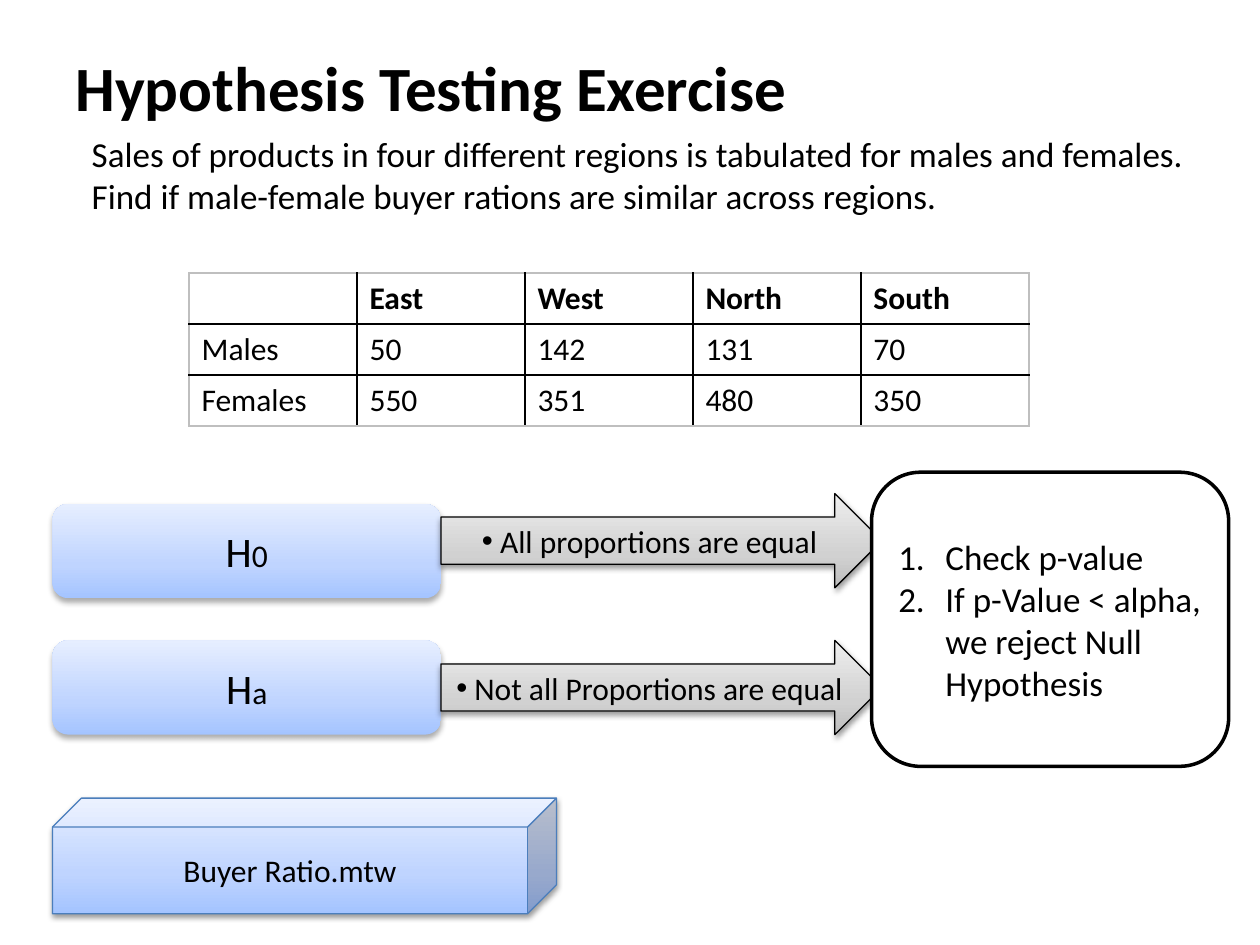
from dataclasses import dataclass

from lxml.etree import SubElement
from pptx import Presentation
from pptx.dml.color import RGBColor
from pptx.enum.shapes import MSO_SHAPE
from pptx.enum.text import MSO_ANCHOR, PP_ALIGN
from pptx.oxml.ns import qn
from pptx.util import Cm, Pt

FONT = "Calibri"
BLACK = RGBColor(0x00, 0x00, 0x00)
WHITE = RGBColor(0xFF, 0xFF, 0xFF)
GREY = RGBColor(0xBF, 0xBF, 0xBF)
CUBE_EDGE = RGBColor(0x4B, 0x7E, 0xBC)
# Gradient colours at 0, 35 and 100 percent, from the bottom up
BLUES = (RGBColor(0xA4, 0xC4, 0xFF), RGBColor(0xBF, 0xD4, 0xFF), RGBColor(0xE6, 0xEE, 0xFF))
GREYS = (RGBColor(0xBD, 0xBD, 0xBD), RGBColor(0xD1, 0xD1, 0xD1), RGBColor(0xEE, 0xEE, 0xEE))
STOPS = (0, 35, 100)


@dataclass(frozen=True)
class Box:
    """Position and size in centimetres."""
    left: float
    top: float
    width: float
    height: float

    def lengths(self) -> tuple:
        return Cm(self.left), Cm(self.top), Cm(self.width), Cm(self.height)


@dataclass(frozen=True)
class Shadow:
    opacity: int
    blur: float
    distance: float


SOFT = Shadow(32, 3.5, 2.2)
CRISP = Shadow(38, 3.1, 1.6)


@dataclass(frozen=True)
class Hypothesis:
    subscript: str
    claim: str
    label_top: float
    arrow_top: float


HYPOTHESES = (
    Hypothesis("0", " All proportions are equal", 10.16, 9.95),
    Hypothesis("a", " Not all Proportions are equal", 12.91, 12.91),
)
SALES = (
    ("", "East", "West", "North", "South"),
    ("Males", "50", "142", "131", "70"),
    ("Females", "550", "351", "480", "350"),
)


def add_run(paragraph, text: str, size: float, bold: bool = False) -> None:
    run = paragraph.add_run()
    run.text = text
    run.font.name = FONT
    run.font.size = Pt(size)
    run.font.bold = bold
    run.font.color.rgb = BLACK


def add_bullet(paragraph, tag: str, indent: float = 0, **attributes: str) -> None:
    properties = paragraph._p.get_or_add_pPr()
    properties.set("marL", str(Cm(indent)))
    properties.set("indent", str(-Cm(indent)))
    SubElement(properties, qn("a:buFont"), typeface="Arial" if tag == "a:buChar" else "+mj-lt")
    SubElement(properties, qn(tag), **attributes)


def add_text_box(slide, box: Box, anchor: MSO_ANCHOR):
    frame = slide.shapes.add_textbox(*box.lengths()).text_frame
    frame.word_wrap = True
    frame.vertical_anchor = anchor
    return frame.paragraphs[0]


def fill_gradient(shape, colors: tuple) -> None:
    shape.fill.gradient()
    shape.fill.gradient_angle = 90
    stops = shape._element.spPr.find(qn("a:gradFill")).find(qn("a:gsLst"))
    for stop in list(stops):
        stops.remove(stop)
    for position, color in zip(STOPS, colors):
        stop = SubElement(stops, qn("a:gs"), pos=str(position * 1000))
        SubElement(stop, qn("a:srgbClr"), val=str(color))


def cast_shadow(shape, shadow: Shadow) -> None:
    effects = shape._element.spPr.find(qn("a:effectLst"))
    outer = SubElement(effects, qn("a:outerShdw"), blurRad=str(Pt(shadow.blur)),
                       dist=str(Pt(shadow.distance)), dir="5400000", rotWithShape="0")
    color = SubElement(outer, qn("a:srgbClr"), val=str(BLACK))
    SubElement(color, qn("a:alpha"), val=str(shadow.opacity * 1000))


def add_block(slide, kind: MSO_SHAPE, box: Box, colors: tuple = (), edge: RGBColor | None = None,
              edge_width: float = 0.75, shadow: Shadow | None = None):
    shape = slide.shapes.add_shape(kind, *box.lengths())
    if colors:
        fill_gradient(shape, colors)
    else:
        shape.fill.solid()
        shape.fill.fore_color.rgb = WHITE
    if edge is None:
        shape.line.fill.background()
    else:
        shape.line.color.rgb = edge
        shape.line.width = Pt(edge_width)
    shape.shadow.inherit = False
    if shadow:
        cast_shadow(shape, shadow)
    frame = shape.text_frame
    frame.word_wrap = True
    frame.vertical_anchor = MSO_ANCHOR.MIDDLE
    frame.paragraphs[0].alignment = PP_ALIGN.CENTER
    return frame


def border_cell(cell, outer_sides: dict[str, bool]) -> None:
    properties = cell._tc.get_or_add_tcPr()
    for index, (side, is_outer) in enumerate(outer_sides.items()):
        line = properties.makeelement(qn(f"a:{side}"), {"w": str(Pt(1))})
        properties.insert(index, line)
        fill = SubElement(line, qn("a:solidFill"))
        SubElement(fill, qn("a:srgbClr"), val=str(GREY if is_outer else BLACK))


def add_sales_table(slide, box: Box) -> None:
    rows, columns = len(SALES), len(SALES[0])
    table = slide.shapes.add_table(rows, columns, *box.lengths()).table
    table.first_row = table.horz_banding = False
    for r, values in enumerate(SALES):
        for c, value in enumerate(values):
            cell = table.cell(r, c)
            cell.fill.background()
            border_cell(cell, {"lnL": c == 0, "lnR": c == columns - 1,
                               "lnT": r == 0, "lnB": r == rows - 1})
            if value:
                add_run(cell.text_frame.paragraphs[0], value, 18, bold=r == 0)


def main() -> None:
    presentation = Presentation()
    presentation.slide_width, presentation.slide_height = Cm(25.4), Cm(19.05)
    slide = presentation.slides.add_slide(presentation.slide_layouts[6])

    # Title and question
    title = add_text_box(slide, Box(1.27, 0.76, 22.86, 1.98), MSO_ANCHOR.MIDDLE)
    add_run(title, "Hypothesis Testing Exercise", 36, bold=True)
    question = add_text_box(slide, Box(0.64, 2.54, 24.33, 15.88), MSO_ANCHOR.TOP)
    question._p.get_or_add_pPr().set("marL", str(Cm(0.96)))
    add_run(question, "Sales of products in four different regions is tabulated for males and "
            "females. Find if male-female buyer rations are similar across regions.", 20)

    # Sales by region
    add_sales_table(slide, Box(3.81, 5.5, 16.93, 3.09))

    # Hypothesis labels
    for hypothesis in HYPOTHESES:
        label = add_block(slide, MSO_SHAPE.ROUNDED_RECTANGLE,
                          Box(1.06, hypothesis.label_top, 7.83, 1.9), BLUES, shadow=SOFT)
        add_run(label.paragraphs[0], "H", 24)
        add_run(label.paragraphs[0], hypothesis.subscript, 18)

    # Claims
    for hypothesis in HYPOTHESES:
        arrow = add_block(slide, MSO_SHAPE.RIGHT_ARROW,
                          Box(8.89, hypothesis.arrow_top, 8.89, 1.9), GREYS, BLACK, shadow=CRISP)
        add_bullet(arrow.paragraphs[0], "a:buChar", char="•")
        add_run(arrow.paragraphs[0], hypothesis.claim, 18)

    # Decision steps
    decision = add_block(slide, MSO_SHAPE.ROUNDED_RECTANGLE, Box(17.57, 9.52, 7.2, 5.93),
                         edge=BLACK, edge_width=2)
    steps = (decision.paragraphs[0], decision.add_paragraph())
    for step, text in zip(steps, ("Check p-value", "If p-Value < alpha, we reject Null Hypothesis")):
        step.alignment = PP_ALIGN.LEFT
        add_bullet(step, "a:buAutoNum", 0.95, type="arabicPeriod")
        add_run(step, text, 20)

    # Data file
    data_file = add_block(slide, MSO_SHAPE.CUBE, Box(1.06, 16.09, 10.16, 2.33), BLUES, CUBE_EDGE,
                          shadow=CRISP)
    add_run(data_file.paragraphs[0], "Buyer Ratio.mtw", 18)

    presentation.save("out.pptx")


if __name__ == "__main__":
    main()
